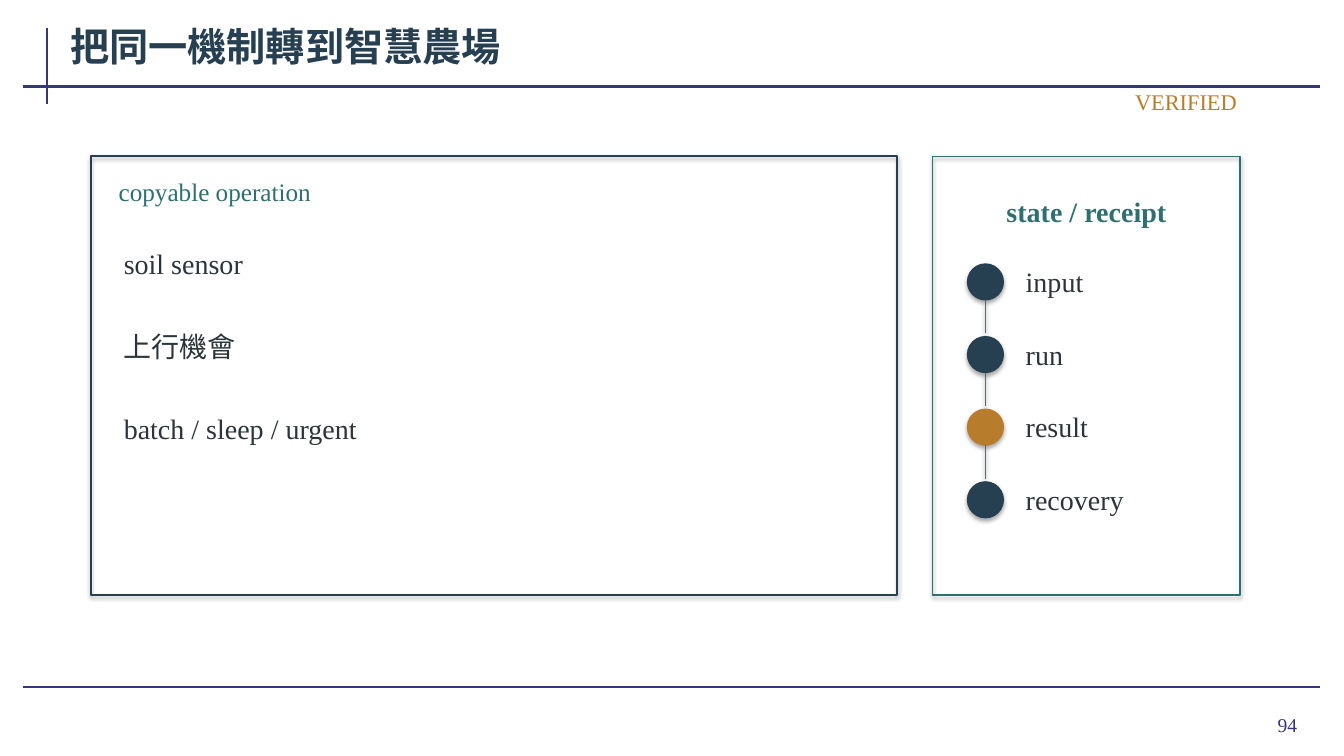
from lxml import etree
from pptx import Presentation
from pptx.dml.color import RGBColor
from pptx.enum.shapes import MSO_CONNECTOR, MSO_SHAPE
from pptx.enum.text import MSO_ANCHOR, PP_ALIGN
from pptx.oxml.ns import qn
from pptx.util import Cm, Pt

LINE, RECT, OVAL = MSO_CONNECTOR.STRAIGHT, MSO_SHAPE.RECTANGLE, MSO_SHAPE.OVAL
MID = MSO_ANCHOR.MIDDLE
LEFT, MIDDLE, RIGHT = PP_ALIGN.LEFT, PP_ALIGN.CENTER, PP_ALIGN.RIGHT
FONT = "Times New Roman"

INDIGO = RGBColor(0x35, 0x37, 0x7F)
NAVY = RGBColor(0x26, 0x3F, 0x51)
TEAL = RGBColor(0x2F, 0x6F, 0x70)
INK = RGBColor(0x2A, 0x34, 0x3A)
GRAY = RGBColor(0x59, 0x68, 0x6F)
AMBER = RGBColor(0xB7, 0x7D, 0x2D)

# Content
OPS = ["soil sensor", "上行機會", "batch / sleep / urgent"]
STEPS = [("input", NAVY), ("run", NAVY), ("result", AMBER), ("recovery", NAVY)]
RULES = [  # x1, y1, x2, y2
    (1.19, 0.71, 1.19, 2.62),
    (0.58, 2.18, 33.27, 2.18),
    (0.58, 17.32, 33.27, 17.32),
]
PANELS = [  # left, width, colour, line width
    (2.29, 20.32, NAVY, 1.4),
    (23.5, 7.75, TEAL, 1.1),
]
LABELS = [  # text, box, alignment, font
    ("把同一機制轉到智慧農場", (1.57, 0.38, 31.72, 1.57), LEFT,
     {"size": Pt(28), "bold": True, "color": NAVY}),
    ("copyable operation", (2.79, 4.37, 19.3, 0.89), LEFT,
     {"size": Pt(18), "color": TEAL}),
    ("state / receipt", (24.08, 4.62, 6.6, 1.4), MIDDLE,
     {"size": Pt(20), "bold": True, "color": TEAL}),
    ("VERIFIED", (23.24, 2.18, 8.13, 0.76), RIGHT,
     {"size": Pt(16), "color": AMBER}),
    ("94", (30.43, 17.6, 2.46, 1.32), RIGHT,
     {"size": Pt(14), "color": INDIGO}),
]
BODY = {"size": Pt(20), "color": INK}

# Layout
PANEL_TOP, PANEL_H = 3.94, 11.05
OP_TOP, OP_GAP = 5.72, 2.08
DOT_X, DOT_TOP, DOT, DOT_GAP = 24.38, 6.65, 0.91, 1.83
LINK = 0.84

deck = Presentation()
deck.slide_width, deck.slide_height = Cm(33.87), Cm(19.05)
slide = deck.slides.add_slide(deck.slide_layouts[6])
shapes = slide.shapes


def add_text(text, box, align, look):
    frame = shapes.add_textbox(*map(Cm, box)).text_frame
    frame.word_wrap = True
    frame.vertical_anchor = MID
    frame.margin_left = frame.margin_right = Cm(0.2)
    frame.margin_top = frame.margin_bottom = Cm(0.1)
    para = frame.paragraphs[0]
    para.alignment = align
    run = para.add_run()
    run.text = text
    run.font.name = FONT
    for key, value in look.items():
        if key == "color":
            run.font.color.rgb = value
        else:
            setattr(run.font, key, value)


def add_line(ends, color, width):
    line = shapes.add_connector(LINE, *map(Cm, ends))
    line.line.color.rgb = color
    line.line.width = Pt(width)
    return line


def add_shape(kind, box, fill, color, width):
    # The theme's soft shadow is kept on panels and dots
    shape = shapes.add_shape(kind, *map(Cm, box))
    if fill is None:
        shape.fill.background()
    else:
        shape.fill.solid()
        shape.fill.fore_color.rgb = fill
    shape.line.color.rgb = color
    shape.line.width = Pt(width)


# Frame rules, without shadow
for ends in RULES:
    rule = add_line(ends, INDIGO, 1.5)
    etree.SubElement(rule._element.spPr, qn("a:effectLst"))

# Panels and labels
for left, width, color, weight in PANELS:
    add_shape(RECT, (left, PANEL_TOP, width, PANEL_H), None, color, weight)
for label in LABELS:
    add_text(*label)

# Operations
for i, op in enumerate(OPS):
    add_text(op, (2.92, OP_TOP + i * OP_GAP, 18.67, 1.83), LEFT, BODY)

# State chain
for i, (name, color) in enumerate(STEPS):
    top = DOT_TOP + i * DOT_GAP
    add_shape(OVAL, (DOT_X, top, DOT, DOT), color, color, 0.75)
    add_text(name, (25.65, top - 0.07, 4.7, 1.02), LEFT, BODY)
    if i < len(STEPS) - 1:
        mid, end = DOT_X + DOT / 2, top + DOT
        add_line((mid, end, mid, end + LINK), GRAY, 0.9)

deck.save("out.pptx")
